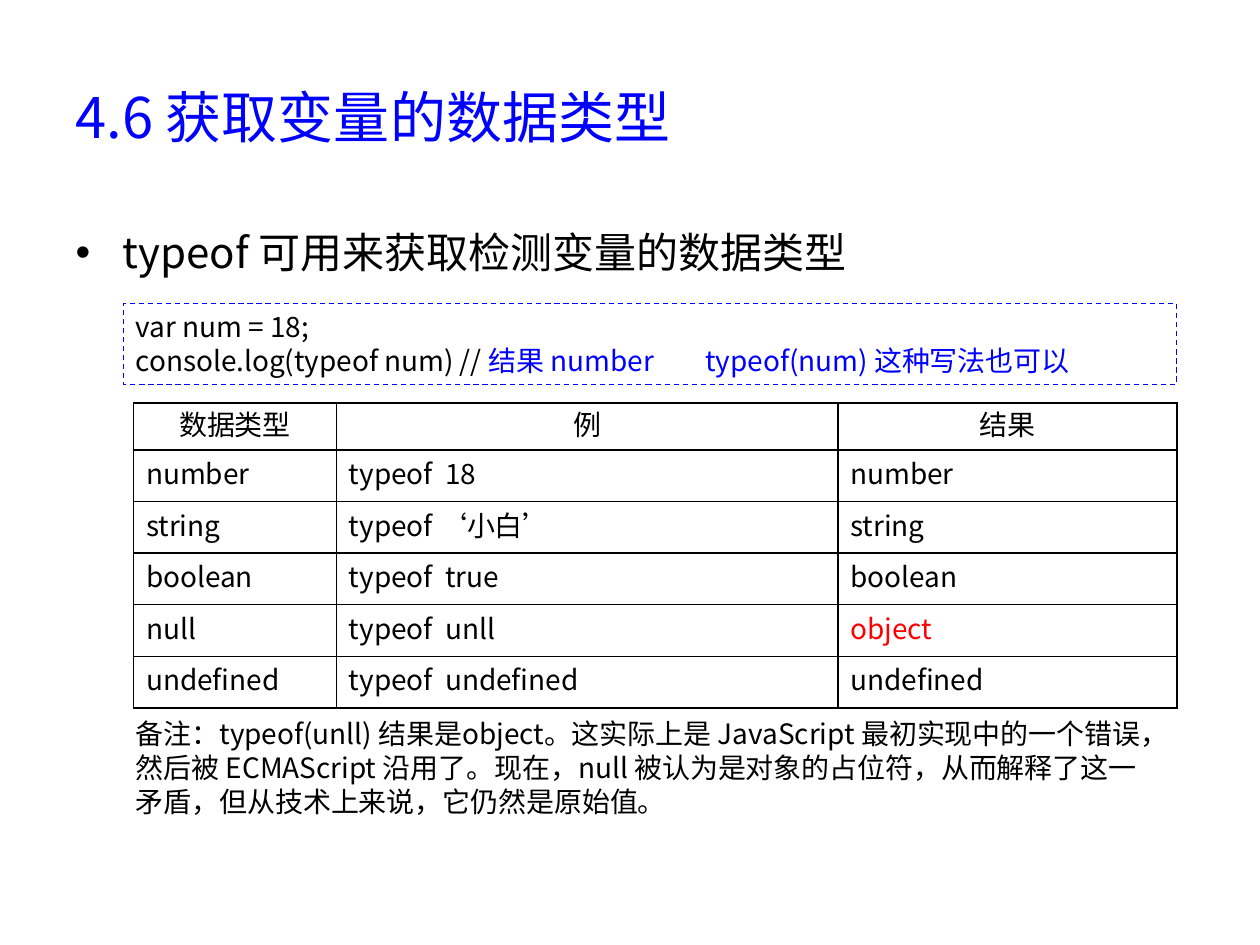
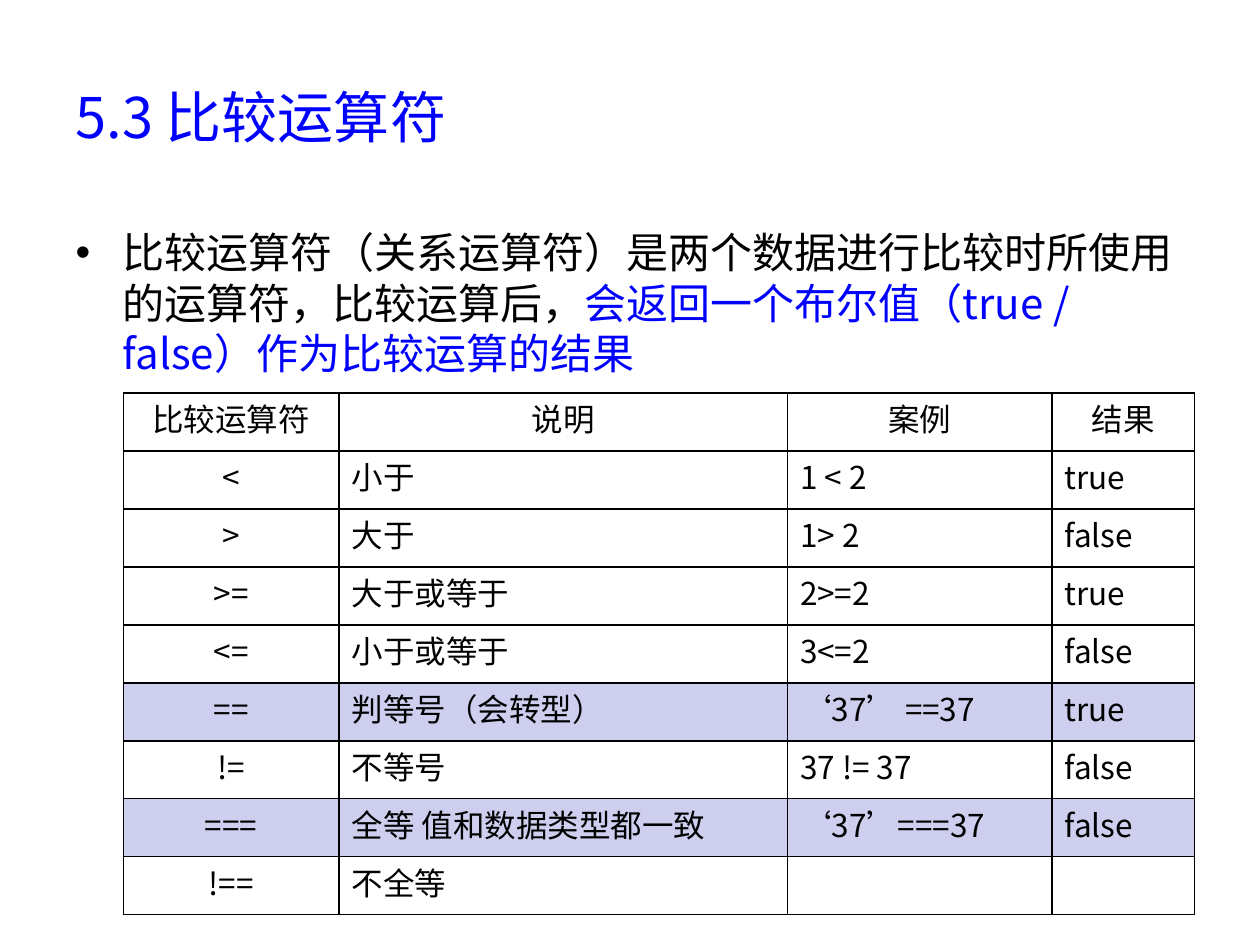
from lxml import etree
from pptx import Presentation
from pptx.dml.color import RGBColor
from pptx.enum.dml import MSO_LINE
from pptx.enum.shapes import MSO_SHAPE
from pptx.enum.text import MSO_ANCHOR, PP_ALIGN
from pptx.oxml import parse_xml
from pptx.oxml.ns import nsdecls, qn
from pptx.util import Inches, Pt

LEFT, CENTER = PP_ALIGN.LEFT, PP_ALIGN.CENTER
TOP, MIDDLE = MSO_ANCHOR.TOP, MSO_ANCHOR.MIDDLE
DASH = MSO_LINE.DASH
RECTANGLE = MSO_SHAPE.RECTANGLE

FONT = "Noto Sans CJK SC"
COLORS = {
    "text": "000000",
    "accent": "0000FF",
    "warning": "FF0000",
    "cell": "FFFFFF",
    "highlight": "CECEEF",
}


def write(frame, paragraphs, size, align=LEFT):
    frame.word_wrap = True
    for index, pieces in enumerate(paragraphs):
        paragraph = frame.paragraphs[0] if index == 0 else frame.add_paragraph()
        paragraph.alignment = align
        paragraph.line_spacing = Pt(size * 1.2)
        for words, color in pieces:
            run = paragraph.add_run()
            run.text = words
            run.font.size = Pt(size)
            run.font.color.rgb = RGBColor.from_string(COLORS[color])
            run.font.name = FONT
            east_asian = etree.SubElement(run.font._element, qn("a:ea"))
            east_asian.set("typeface", FONT)


def add_grid(slide, left, top, widths, heights, rows, size, centered, highlights, warnings):
    grid = slide.shapes.add_table(
        len(rows), len(widths), Inches(left), Inches(top),
        Inches(sum(widths)), Inches(sum(heights))).table
    grid.first_row = False
    grid.horz_banding = False
    for column, width in zip(grid.columns, widths):
        column.width = Inches(width)
    for row, height in zip(grid.rows, heights):
        row.height = Inches(height)
    for r, values in enumerate(rows):
        for c, value in enumerate(values):
            cell = grid.cell(r, c)
            cell.vertical_anchor = MIDDLE
            for side in ("lnL", "lnR", "lnT", "lnB"):
                cell._tc.get_or_add_tcPr().append(parse_xml(
                    f'<a:{side} {nsdecls("a")} w="12700"><a:solidFill>'
                    f'<a:srgbClr val="{COLORS["text"]}"/></a:solidFill></a:{side}>'))
            if r == 0:
                cell.fill.background()
            else:
                cell.fill.solid()
                shade = "highlight" if r in highlights else "cell"
                cell.fill.fore_color.rgb = RGBColor.from_string(COLORS[shade])
            if value:
                color = "warning" if (r, c) in warnings else "text"
                align = CENTER if r == 0 or c in centered else LEFT
                write(cell.text_frame, [[(value, color)]], size, align)


presentation = Presentation()
presentation.slide_width = Inches(10)
presentation.slide_height = Inches(7.5)

topics = [
    ("4.6 获取变量的数据类型", [("typeof 可用来获取检测变量的数据类型", "text")]),
    ("5.3 比较运算符", [
        ("比较运算符（关系运算符）是两个数据进行比较时所使用的运算符，比较运算后，", "text"),
        ("会返回一个布尔值（true / false）作为比较运算的结果", "accent"),
    ]),
]
slides = []
for heading, summary in topics:
    slide = presentation.slides.add_slide(presentation.slide_layouts[1])
    title, body = slide.placeholders
    title.left, title.top, title.width, title.height = map(Inches, (0.5, 0.3, 9, 1.25))
    body.left, body.top, body.width, body.height = map(Inches, (0.5, 1.75, 9, 4.95))
    title.text_frame.vertical_anchor = MIDDLE
    write(title.text_frame, [[(heading, "accent")]], 32)
    write(body.text_frame, [summary], 24)
    slides.append(slide)
typeof_slide, comparison_slide = slides

code = typeof_slide.shapes.add_shape(
    RECTANGLE, Inches(0.98), Inches(2.41), Inches(8.36), Inches(0.64))
code.shadow.inherit = False
code.fill.background()
code.line.color.rgb = RGBColor.from_string(COLORS["accent"])
code.line.width = Pt(0.75)
code.line.dash_style = DASH
code.text_frame.vertical_anchor = TOP
write(code.text_frame, [
    [("var num = 18;", "text")],
    [("console.log(typeof num) // ", "text"),
     ("结果 number\ttypeof(num) 这种写法也可以", "accent")],
], 16)
code.text_frame.paragraphs[1]._p.get_or_add_pPr().append(parse_xml(
    f'<a:tabLst {nsdecls("a")}><a:tab pos="{Inches(4.52)}" algn="l"/></a:tabLst>'))

type_rows = [
    ("数据类型", "例", "结果"),
    ("number", "typeof  18", "number"),
    ("string", "typeof ‘小白’", "string"),
    ("boolean", "typeof  true", "boolean"),
    ("null", "typeof  unll", "object"),
    ("undefined", "typeof  undefined", "undefined"),
]
add_grid(typeof_slide, 1.06, 3.2, [1.61, 3.98, 2.69], [0.37] + [0.41] * 5,
         type_rows, 16, centered=(), highlights=(), warnings={(4, 2)})

remark = typeof_slide.shapes.add_textbox(
    Inches(0.98), Inches(5.64), Inches(8.36), Inches(0.91))
write(remark.text_frame, [[(
    "备注：typeof(unll) 结果是object。这实际上是 JavaScript 最初实现中的一个错误，"
    "然后被 ECMAScript 沿用了。现在，null 被认为是对象的占位符，"
    "从而解释了这一矛盾，但从技术上来说，它仍然是原始值。", "text")]], 16)

operator_rows = [
    ("比较运算符", "说明", "案例", "结果"),
    ("<", "小于", "1 < 2", "true"),
    (">", "大于", "1> 2", "false"),
    (">=", "大于或等于", "2>=2", "true"),
    ("<=", "小于或等于", "3<=2", "false"),
    ("==", "判等号（会转型）", "‘37’ ==37", "true"),
    ("!=", "不等号", "37 != 37", "false"),
    ("===", "全等 值和数据类型都一致", "‘37’===37", "false"),
    ("!==", "不全等", "", ""),
]
add_grid(comparison_slide, 0.98, 3.12, [1.71, 3.56, 2.1, 1.13], [0.46] * 9,
         operator_rows, 18, centered={0}, highlights={5, 7}, warnings=())

presentation.save("out.pptx")
